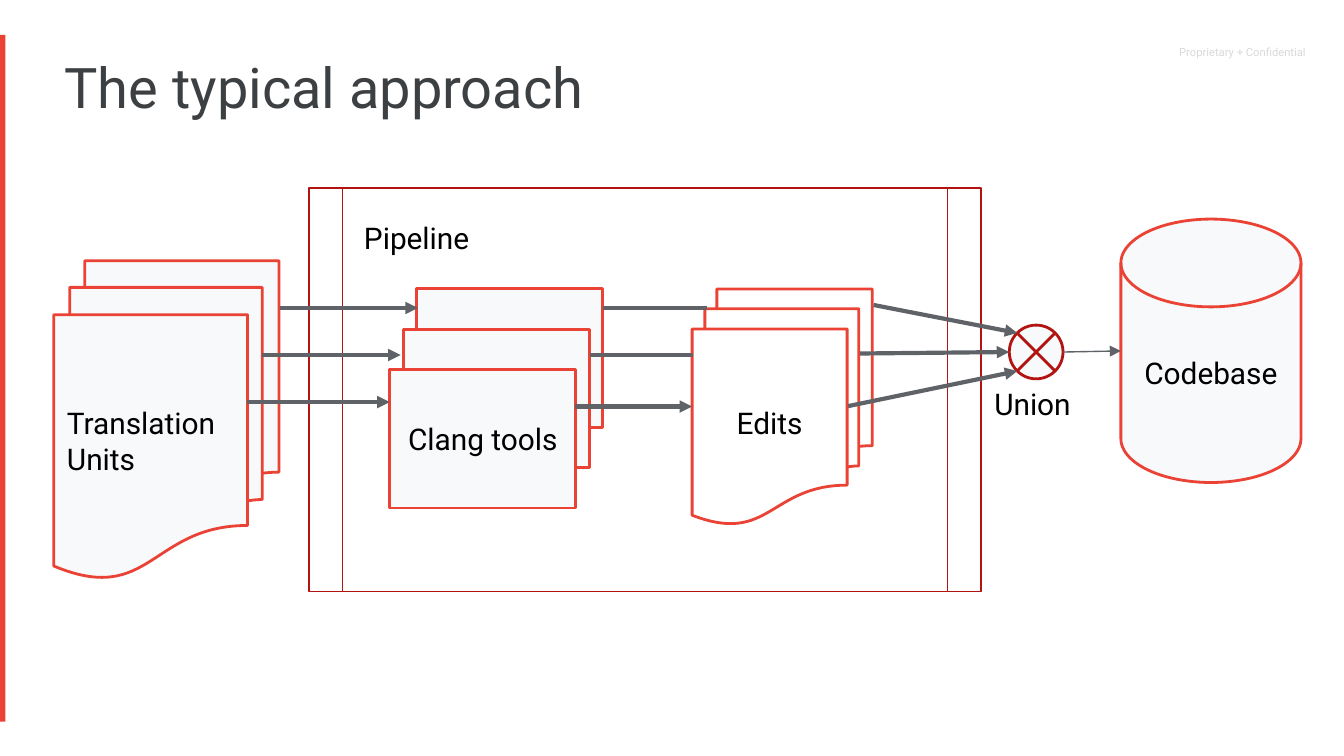
import pptx
import pptx.util
import pptx.dml.color
import pptx.enum.shapes
import pptx.enum.text
import pptx.oxml
import pptx.oxml.ns

Pt = pptx.util.Pt
SHAPE = pptx.enum.shapes.MSO_SHAPE
ALIGN = pptx.enum.text.PP_ALIGN
ANCHOR = pptx.enum.text.MSO_ANCHOR
RED, DARK_RED, GREY, PALE = "EA4335", "B31412", "5F6368", "F8F9FA"


def color(value):
    return pptx.dml.color.RGBColor.from_string(value)


def write(box, text, size=16, ink="000000", align=ALIGN.LEFT, anchor=ANCHOR.TOP):
    """Set the text of a box, one paragraph a line, with even insets."""
    frame = box.text_frame
    frame.word_wrap = True
    frame.vertical_anchor = anchor
    frame.margin_left = frame.margin_right = Pt(7.2)
    frame.margin_top = frame.margin_bottom = Pt(7.2)
    frame.text = text
    for para in frame.paragraphs:
        para.alignment = align
        para.font.name = "Roboto"
        para.font.size = Pt(size)
        para.font.color.rgb = color(ink)


deck = pptx.Presentation()
deck.slide_width, deck.slide_height = Pt(720), Pt(405)
page = deck.slides.add_slide(deck.slide_layouts[5])

title = page.shapes.title
title.left, title.top, title.width, title.height = Pt(27.4), Pt(20.9), Pt(614), Pt(32.4)
write(title, "The typical approach", 30, "3C4043")

# Boxes from back to front: preset, left, top, width, height, fill, line, line width, text, alignment
boxes = [
    (SHAPE.RECTANGLE, -1.4, 18.7, 4.3, 368, RED, None, 0, "", None),
    (SHAPE.RECTANGLE, 165.6, 100.8, 360, 216, None, DARK_RED, 0.75, "", None),
    (SHAPE.FLOWCHART_MULTIDOCUMENT, 28.8, 139.7, 120.6, 170, PALE, RED, 1.5,
     "Translation\nUnits", ALIGN.LEFT),
]
for step, label in enumerate(["", "", "Clang tools"]):
    boxes.append((SHAPE.RECTANGLE, 223.2 - 7.2 * step, 154.8 + 21.6 * step, 99.7, 74.2,
                  PALE, RED, 1.5, label, ALIGN.CENTER))
boxes += [
    (SHAPE.FLOWCHART_SUMMING_JUNCTION, 540.7, 174.2, 28.8, 28.8, PALE, DARK_RED, 1.5, "", None),
    (SHAPE.FLOWCHART_MAGNETIC_DISK, 600.5, 117.4, 96.5, 141.1, PALE, RED, 1.5,
     "Codebase", ALIGN.CENTER),
    (SHAPE.FLOWCHART_MULTIDOCUMENT, 370.8, 154.8, 96.5, 126, None, RED, 1.5,
     "Edits", ALIGN.CENTER),
]
for preset, left, top, width, height, fill, line, weight, text, align in boxes:
    box = page.shapes.add_shape(preset, Pt(left), Pt(top), Pt(width), Pt(height))
    box.shadow.inherit = False
    if fill:
        box.fill.solid()
        box.fill.fore_color.rgb = color(fill)
    else:
        box.fill.background()
    if line:
        box.line.color.rgb = color(line)
        box.line.width = Pt(weight)
    else:
        box.line.fill.background()
    if text:
        write(box, text, align=align, anchor=ANCHOR.MIDDLE)
edits = box

# Lines: start x, start y, end x, end y, colour, width, arrowhead, box joined at its left side
lines = [
    (183.6, 100.8, 183.6, 316.8, DARK_RED, 0.75, False, None),
    (507.6, 100.8, 507.6, 316.8, DARK_RED, 0.75, False, None),
    (149.8, 165, 223.9, 165, GREY, 2.25, True, None),
    (140.4, 190.2, 214.6, 190.2, GREY, 2.25, True, None),
    (132.5, 215.4, 208.8, 215.4, GREY, 2.25, True, None),
    (323.3, 165, 378.7, 165, GREY, 2.25, False, None),
    (316.1, 190.2, 371.5, 190.2, GREY, 2.25, False, None),
    (307.8, 217.8, 370.8, 217.8, GREY, 2.25, True, edits),
    (468, 163.4, 545, 178.4, GREY, 2.25, True, None),
    (460.8, 189.4, 540.7, 188.6, GREY, 2.25, True, None),
    (454.3, 217.6, 545, 198.8, GREY, 2.25, True, None),
    (569.5, 188.6, 600.5, 188, GREY, 0.75, True, None),
]
for x1, y1, x2, y2, ink, weight, arrow, target in lines:
    link = page.shapes.add_connector(pptx.enum.shapes.MSO_CONNECTOR.STRAIGHT,
                                     Pt(x1), Pt(y1), Pt(x2), Pt(y2))
    link.line.color.rgb = color(ink)
    link.line.width = Pt(weight)
    if target:
        link.end_connect(target, 1)
    properties = link.element.spPr
    if arrow:
        properties.find(pptx.oxml.ns.qn("a:ln")).append(pptx.oxml.parse_xml(
            f'<a:tailEnd {pptx.oxml.ns.nsdecls("a")} type="triangle"/>'))
    properties.append(
        pptx.oxml.parse_xml(f'<a:effectLst {pptx.oxml.ns.nsdecls("a")}/>'))

for text, left, top, width, height, size, ink in [
    ("Proprietary + Confidential", 624.6, 20.5, 95, 23.8, 6, "D9D9D9"),
    ("Union", 525.6, 199.4, 59.8, 33.8, 16, "000000"),
    ("Pipeline", 187.9, 110.5, 85.7, 33.8, 16, "000000"),
]:
    box = page.shapes.add_textbox(Pt(left), Pt(top), Pt(width), Pt(height))
    write(box, text, size, ink)

deck.save("out.pptx")
